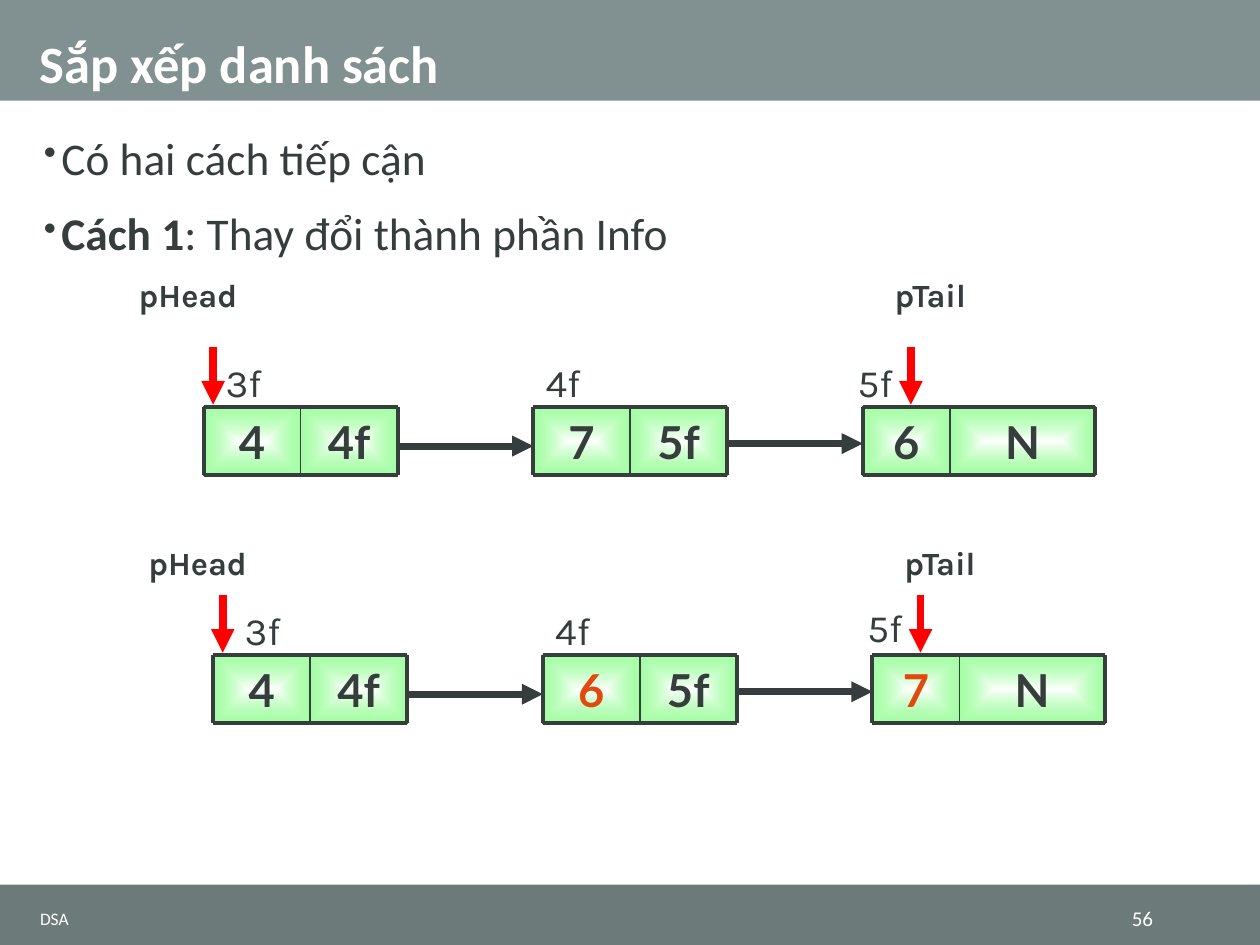
from dataclasses import dataclass

from lxml import etree
from pptx import Presentation
from pptx.dml.color import RGBColor
from pptx.enum.shapes import MSO_CONNECTOR, MSO_SHAPE
from pptx.enum.text import MSO_ANCHOR, PP_ALIGN
from pptx.oxml import parse_xml
from pptx.oxml.ns import qn
from pptx.util import Pt

RECTANGLE = MSO_SHAPE.RECTANGLE
STRAIGHT = MSO_CONNECTOR.STRAIGHT
TOP, MIDDLE, BOTTOM = MSO_ANCHOR.TOP, MSO_ANCHOR.MIDDLE, MSO_ANCHOR.BOTTOM
LEFT, CENTER, RIGHT = PP_ALIGN.LEFT, PP_ALIGN.CENTER, PP_ALIGN.RIGHT


@dataclass(frozen=True)
class Theme:
    ink: str = "363D3D"
    white: str = "FFFFFF"
    header: str = "819090"
    footer: str = "6C7A7A"
    green: str = "69FF69"
    red: str = "FF0000"
    changed: str = "E04A0E"
    text_font: str = "Calibri"
    cell_font: str = "Lato"
    label_font: str = "Karla"
    title_size: float = 30
    body_size: float = 25.9
    address_size: float = 22.1
    pointer_size: float = 18.5
    number_size: float = 12
    footer_size: float = 10


THEME = Theme()
GRADIENT = f"""
<a:gradFill xmlns:a="http://schemas.openxmlformats.org/drawingml/2006/main" rotWithShape="1">
  <a:gsLst>
    <a:gs pos="0"><a:srgbClr val="{THEME.white}"/></a:gs>
    <a:gs pos="100000"><a:srgbClr val="{THEME.green}"><a:alpha val="60000"/></a:srgbClr></a:gs>
  </a:gsLst>
  <a:path path="shape"><a:fillToRect l="50000" t="50000" r="50000" b="50000"/></a:path>
</a:gradFill>"""

# Linked list layout, in points
NODE_PITCH = 188.3
NODE_HEIGHT = 38.9
NODE_CELLS = [(55.4, 55.4), (55.4, 55.4), (49.8, 83.1)]
LINK_DROPS = [22.3, 20.9]


def add_span(para, text, size, font, color, bold=False):
    span = para.add_run()
    span.text = text
    span.font.size = Pt(size)
    span.font.name = font
    span.font.bold = bold
    span.font.color.rgb = RGBColor.from_string(color)


def add_text(page, place, text, size, font, color, bold=False, align=LEFT, anchor=TOP):
    box = page.shapes.add_textbox(*map(Pt, place))
    box.text_frame.word_wrap = True
    box.text_frame.vertical_anchor = anchor
    para = box.text_frame.paragraphs[0]
    para.alignment = align
    add_span(para, text, size, font, color, bold)
    return para


def add_band(page, top, height, color):
    band = page.shapes.add_shape(RECTANGLE, Pt(0), Pt(top), Pt(720), Pt(height))
    band.shadow.inherit = False
    band.fill.solid()
    band.fill.fore_color.rgb = RGBColor.from_string(color)
    band.line.fill.background()


def add_bullets(page, place, items):
    box = page.shapes.add_textbox(*map(Pt, place))
    frame = box.text_frame
    frame.word_wrap = True
    for index, spans in enumerate(items):
        para = frame.add_paragraph() if index else frame.paragraphs[0]
        settings = para._p.get_or_add_pPr()
        settings.set("marL", str(Pt(12.24)))
        settings.set("indent", str(Pt(-10.08)))
        para.space_before = Pt(6 if index else 0)
        para.space_after = Pt(6)
        etree.SubElement(settings, qn("a:buSzPct"), val="80000")
        etree.SubElement(settings, qn("a:buChar"), char="•")
        for text, bold in spans:
            add_span(para, text, THEME.body_size, THEME.text_font, THEME.ink, bold)


def add_line(page, start, end, width, color=THEME.ink, arrow=False):
    line = page.shapes.add_connector(STRAIGHT, *map(Pt, (*start, *end)))
    line.line.width = Pt(width)
    line.line.color.rgb = RGBColor.from_string(color)
    if arrow:
        etree.SubElement(line.line._get_or_add_ln(), qn("a:tailEnd"), type="triangle")
    etree.SubElement(line._element.spPr, qn("a:effectLst"))


def add_cell(page, left, top, width, text, color):
    cell = page.shapes.add_shape(RECTANGLE, *map(Pt, (left, top, width, NODE_HEIGHT)))
    cell.shadow.inherit = False
    cell.fill.background()
    properties = cell._element.spPr
    properties.replace(properties.find(qn("a:noFill")), parse_xml(GRADIENT))
    cell.line.width = Pt(0.75)
    cell.line.color.rgb = RGBColor.from_string(THEME.ink)
    frame = cell.text_frame
    frame.word_wrap = True
    frame.vertical_anchor = MIDDLE
    frame.paragraphs[0].alignment = CENTER
    add_span(frame.paragraphs[0], text, THEME.body_size, THEME.cell_font, color, True)


def add_node(page, left, top, widths, info, following, info_color):
    middle, right, bottom = left + widths[0], left + sum(widths), top + NODE_HEIGHT
    add_cell(page, middle, top, widths[1], following, THEME.ink)
    add_cell(page, left, top, widths[0], info, info_color)
    for y in (top, bottom):
        add_line(page, (left, y), (right, y), 2.25)
    for x, width in ((left, 2.25), (middle, 1), (right, 2.25)):
        add_line(page, (x, top), (x, bottom), width)


def add_pointer(page, name, label_left, label_top, arrow_x, node_top):
    add_text(page, (label_left, label_top, 77.8, 29.5), name,
             THEME.pointer_size, THEME.label_font, THEME.ink, True)
    add_line(page, (arrow_x, node_top - 34.6), (arrow_x, node_top - 1.4),
             4.5, THEME.red, True)


def add_list(page, left, top, nodes, address_offsets, pointer_rise):
    lefts = [left + index * NODE_PITCH for index in range(len(nodes))]
    # Nodes and their addresses
    for x, widths, node, (dx, dy) in zip(lefts, NODE_CELLS, nodes, address_offsets):
        address, info, following, color = node
        add_node(page, x, top, widths, info, following, color)
        add_text(page, (x + dx, top + dy, 49.7, 33.8), address,
                 THEME.address_size, THEME.label_font, THEME.ink)
    # Links between neighbours
    for x, next_x, widths, drop in zip(lefts, lefts[1:], NODE_CELLS, LINK_DROPS):
        add_line(page, (x + sum(widths), top + drop), (next_x, top + drop), 4, arrow=True)
    # Head and tail pointers
    label_top = top - pointer_rise
    add_pointer(page, "pHead", left - 44.2, label_top, left + 5.4, top)
    add_pointer(page, "pTail", lefts[-1] + 11.2, label_top, lefts[-1] + 27.5, top)


def main():
    deck = Presentation()
    deck.slide_width, deck.slide_height = Pt(720), Pt(540)
    page = deck.slides.add_slide(deck.slide_layouts[6])

    # Bands, title and body
    add_band(page, 0, 57.6, THEME.header)
    add_band(page, 505.5, 34.5, THEME.footer)
    title = add_text(page, (15.8, 0, 689, 57.6), "Sắp xếp danh sách", THEME.title_size,
                     THEME.text_font, THEME.white, True, anchor=BOTTOM)
    title.line_spacing = 0.9
    add_bullets(page, (15.8, 70.6, 689, 435.6), [
        [("Có hai cách tiếp cận", False)],
        [("Cách 1", True), (": Thay đổi thành phần Info", False)],
    ])

    # List before and after the swap
    ink, changed = THEME.ink, THEME.changed
    add_list(page, 116.4, 232.6,
             [("3f", "4", "4f", ink), ("4f", "7", "5f", ink), ("5f", "6", "N", ink)],
             [(5.4, -31), (0, -31), (-10, -31)], 79.2)
    add_list(page, 121.9, 374.4,
             [("3f", "4", "4f", ink), ("4f", "6", "5f", changed), ("5f", "7", "N", changed)],
             [(10.8, -31), (0, -31), (-10, -33)], 67.7)

    # Footer
    add_text(page, (15.8, 515.5, 500.4, 18.7), "DSA", THEME.footer_size,
             THEME.text_font, THEME.white, anchor=MIDDLE)
    add_text(page, (609.8, 515.5, 56.2, 18.7), "56", THEME.number_size,
             THEME.text_font, THEME.white, align=RIGHT, anchor=MIDDLE)

    deck.save("out.pptx")


if __name__ == "__main__":
    main()
